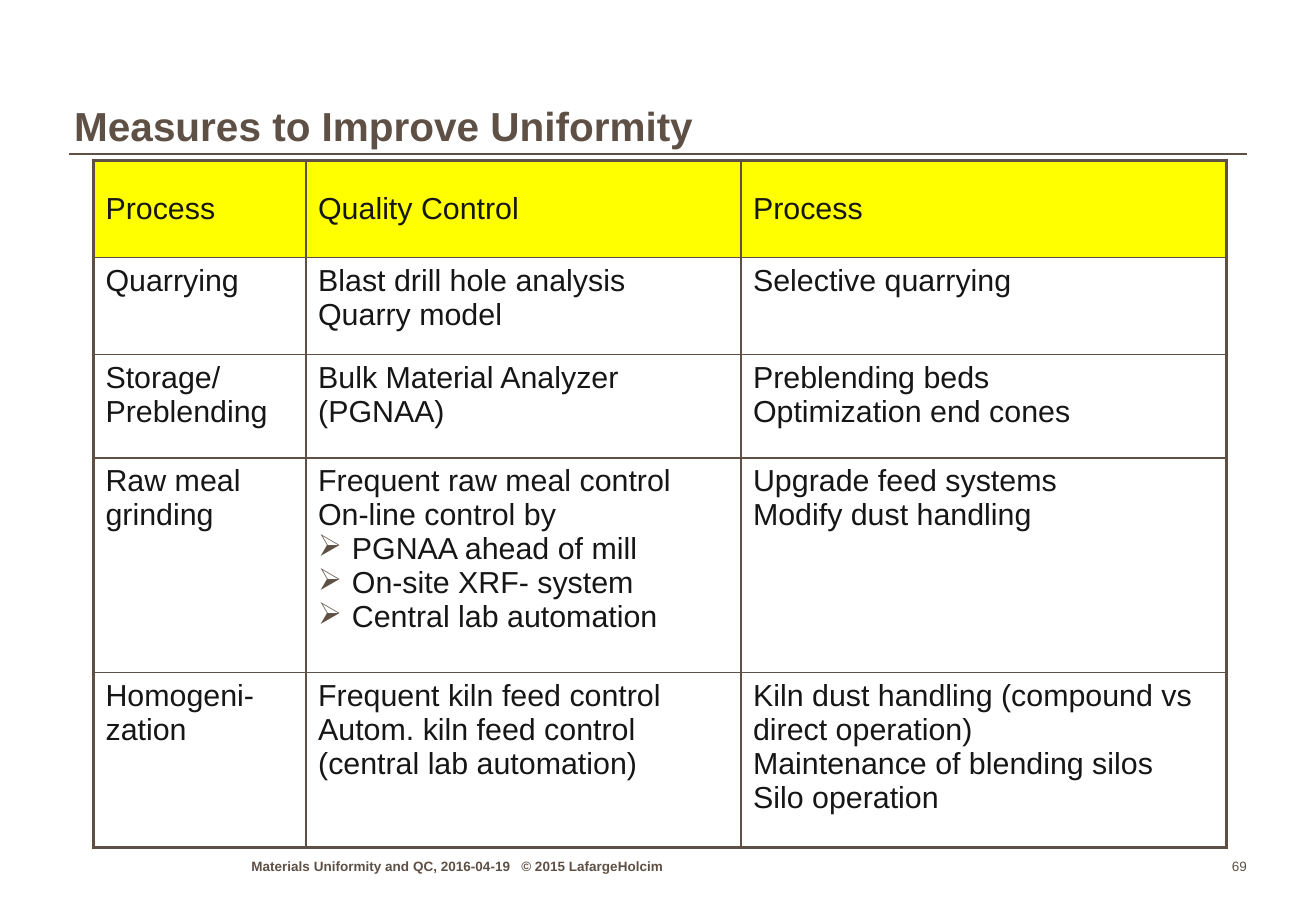
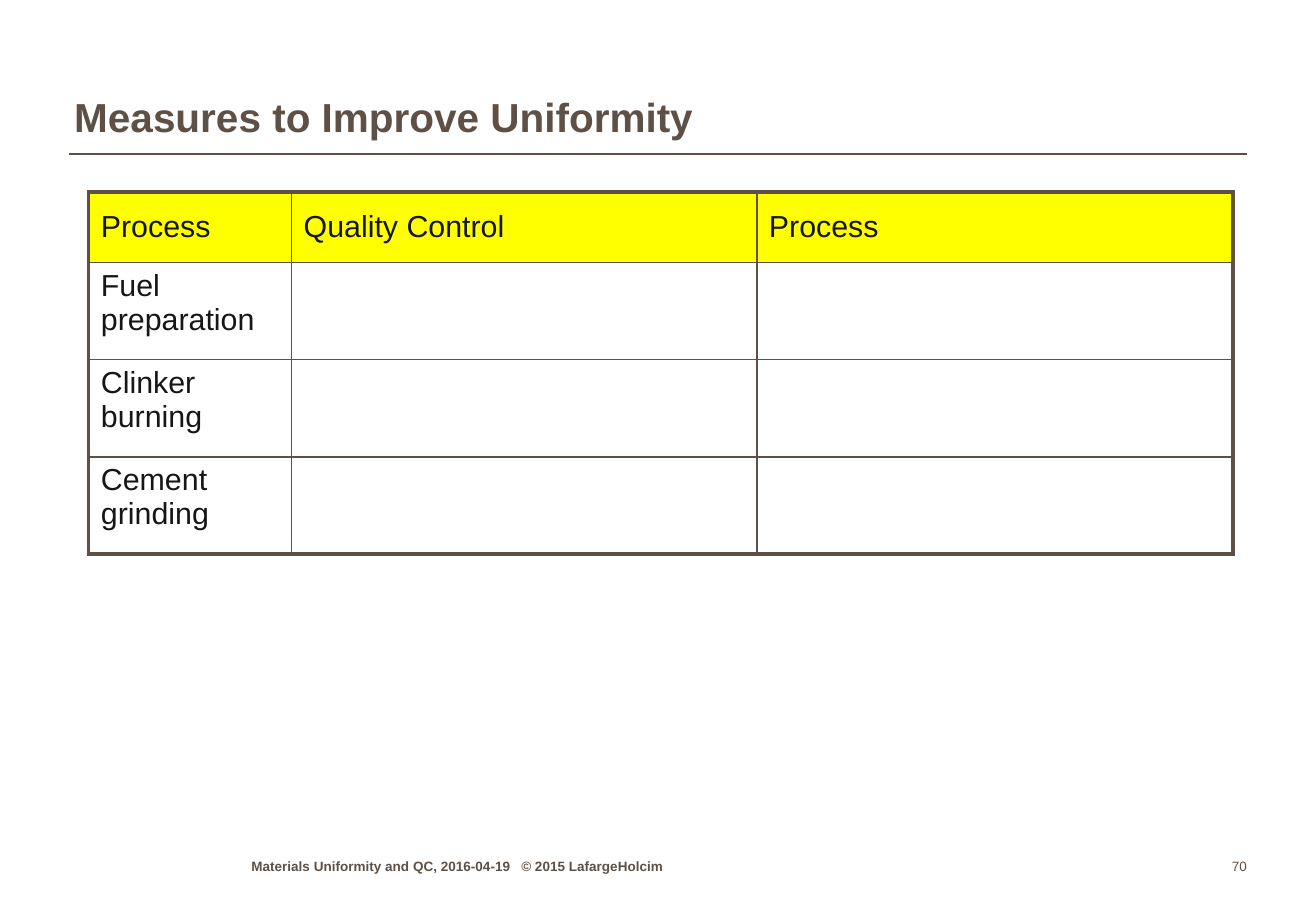
from dataclasses import dataclass

from lxml import etree
from pptx import Presentation
from pptx.dml.color import RGBColor
from pptx.enum.shapes import MSO_CONNECTOR
from pptx.enum.text import MSO_ANCHOR, PP_ALIGN
from pptx.oxml.ns import qn
from pptx.util import Pt

STRAIGHT = MSO_CONNECTOR.STRAIGHT
LEFT, RIGHT = PP_ALIGN.LEFT, PP_ALIGN.RIGHT
TOP, MIDDLE, BOTTOM = MSO_ANCHOR.TOP, MSO_ANCHOR.MIDDLE, MSO_ANCHOR.BOTTOM
BULLET = "➢"


@dataclass(frozen=True)
class Theme:
    brown: str = "5F5046"
    ink: str = "161616"
    yellow: str = "FFFF00"
    face: str = "Arial"
    title: float = 24
    body: float = 18
    small: float = 8
    thin: float = 1
    thick: float = 2.25
    indent: float = 20


THEME = Theme()
TITLE = {"size": Pt(THEME.title), "bold": True}
BODY = {"size": Pt(THEME.body), "bold": False}
FOOT = {"size": Pt(THEME.small), "bold": True}
PAGE = {"size": Pt(THEME.small), "bold": False}

FRAME = (41, 0, 698, 540)
HEADING = "Measures to Improve Uniformity"
FOOTER = "Materials Uniformity and QC, 2016-04-19\t© 2015 LafargeHolcim"
HEAD = ("Process", "Quality Control", "Process")

SLIDES = (
    {
        "page": "69", "drop": 27.4, "spot": (55.4, 95),
        "cols": (126, 257.8, 288),
        "rows": (57.6, 57.6, 61.2, 127.4, 103.6),
        "cells": (
            HEAD,
            ("Quarrying", "Blast drill hole analysis\nQuarry model",
             "Selective quarrying"),
            ("Storage/\nPreblending", "Bulk Material Analyzer (PGNAA)",
             "Preblending beds\nOptimization end cones"),
            ("Raw meal grinding",
             "Frequent raw meal control\nOn-line control by\n"
             "➢PGNAA ahead of mill\n➢On-site XRF- system\n"
             "➢Central lab automation",
             "Upgrade feed systems\nModify dust handling"),
            ("Homogeni-zation",
             "Frequent kiln feed control\n"
             "Autom. kiln feed control\v(central lab automation)",
             "Kiln dust handling (compound vs direct operation)\n"
             "Maintenance of blending silos\nSilo operation"),
        ),
    },
    {
        "page": "70", "drop": 22.4, "spot": (52.6, 113.8),
        "cols": (120.2, 275.8, 282.2),
        "rows": (41.8, 57.6, 57.6, 57.6),
        "cells": (
            HEAD,
            ("Fuel preparation", "", ""),
            ("Clinker burning", "", ""),
            ("Cement grinding", "", ""),
        ),
    },
)


def rgb(code):
    return RGBColor.from_string(code)


def node(parent, tag, **attrs):
    """Append one drawing element below parent."""
    item = etree.SubElement(parent, qn(tag))
    for key, value in attrs.items():
        item.set(key, str(value))
    return item


def style(para, form, color):
    for run in para.runs:
        for key, value in form.items():
            setattr(run.font, key, value)
        run.font.name = THEME.face
        run.font.color.rgb = rgb(color)


def label(slide, box, text, form, align=LEFT, foot=0, tab=None):
    """Add bottom-anchored brown text and return its paragraph."""
    frame = slide.shapes.add_textbox(*map(Pt, box)).text_frame
    setup = {"margin_left": 0, "margin_top": 0, "margin_right": 0,
             "margin_bottom": Pt(foot), "word_wrap": True,
             "vertical_anchor": BOTTOM}
    for key, value in setup.items():
        setattr(frame, key, value)
    para = frame.paragraphs[0]
    para.text = text
    para.alignment = align
    if tab:
        tabs = node(para._p.get_or_add_pPr(), "a:tabLst")
        node(tabs, "a:tab", pos=Pt(tab), algn="l")
    style(para, form, THEME.brown)
    return para


def base(slide, box, drop, page):
    """Add the title, its rule and the footer inside the box."""
    x, y, w, h = box
    rule = slide.shapes.add_connector(
        STRAIGHT, Pt(x), Pt(y + 91.4), Pt(x + w), Pt(y + 91.4))
    rule.line.color.rgb = rgb(THEME.brown)
    rule.line.width = Pt(THEME.thin)
    node(rule._element.spPr, "a:effectLst")
    title = label(slide, (x + 3, y + drop, w - 7, 62.6), HEADING, TITLE,
                  foot=0.72)
    title.line_spacing = 0.95
    line = y + h - 34.6
    label(slide, (x + 108, line, 250, 13), FOOTER, FOOT, tab=160)
    label(slide, (x + w - 34, line, 34, 13), page, PAGE, RIGHT)


def edge(cell, sides):
    """Draw the borders; sides maps each side to its width."""
    props = cell._tc.get_or_add_tcPr()
    for side, width in sides.items():
        line = node(props, f"a:ln{side}", w=Pt(width))
        fill = node(line, "a:solidFill")
        node(fill, "a:srgbClr", val=THEME.brown)


def point(para):
    """Turn a leading bullet sign into a real bullet."""
    if not para.text.startswith(BULLET):
        return
    para.text = para.text[len(BULLET):]
    props = para._p.get_or_add_pPr()
    props.set("marL", str(Pt(THEME.indent)))
    props.set("indent", str(-Pt(THEME.indent)))
    color = node(props, "a:buClr")
    node(color, "a:srgbClr", val=THEME.brown)
    node(props, "a:buChar", char=BULLET)


def grid(slide, spot, cols, rows, cells):
    """Add the table with a yellow head row and a thick outer frame."""
    box = (*spot, sum(cols), sum(rows))
    table = slide.shapes.add_table(
        len(rows), len(cols), *map(Pt, box)).table
    table.first_row = table.horz_banding = False
    for col, width in zip(table.columns, cols):
        col.width = Pt(width)
    for row, height in zip(table.rows, rows):
        row.height = Pt(height)
    for r, texts in enumerate(cells):
        for c, text in enumerate(texts):
            cell = table.cell(r, c)
            outer = {"L": c == 0, "R": c == len(cols) - 1,
                     "T": r == 0, "B": r == len(rows) - 1}
            edge(cell, {side: THEME.thick if out else THEME.thin
                        for side, out in outer.items()})
            if r == 0:
                cell.fill.solid()
                cell.fill.fore_color.rgb = rgb(THEME.yellow)
            else:
                cell.fill.background()
            cell.vertical_anchor = TOP if r else MIDDLE
            cell.text_frame.text = text
            for para in cell.text_frame.paragraphs:
                point(para)
                style(para, BODY, THEME.ink)


def main():
    deck = Presentation()
    deck.slide_width, deck.slide_height = Pt(780), Pt(540)
    for data in SLIDES:
        slide = deck.slides.add_slide(deck.slide_layouts[6])
        base(slide, FRAME, data["drop"], data["page"])
        grid(slide, data["spot"], data["cols"], data["rows"], data["cells"])
    deck.save("out.pptx")


if __name__ == "__main__":
    main()
